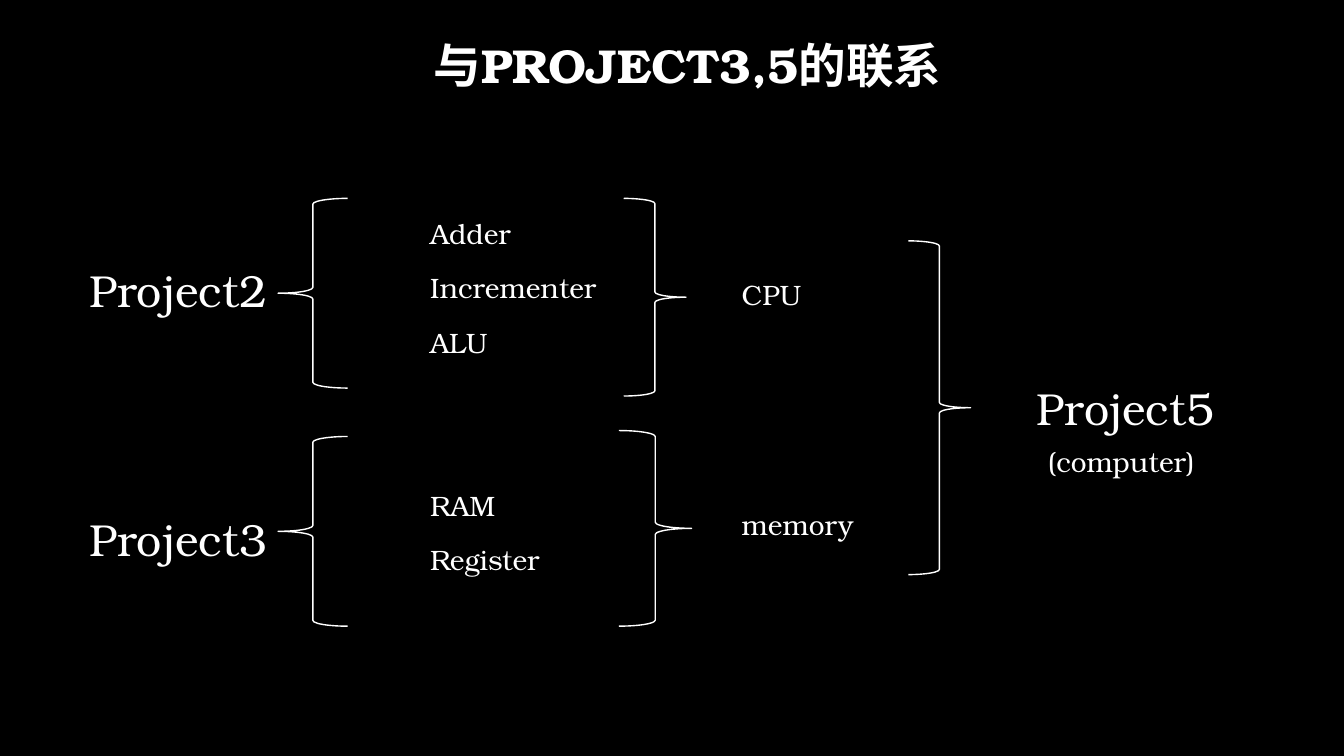
"""Builds the slide that links Project2 and Project3 to Project5."""
from pptx import Presentation
from pptx.dml.color import RGBColor
from pptx.enum.shapes import MSO_SHAPE as SHAPE
from pptx.enum.text import MSO_ANCHOR as ANCHOR, PP_ALIGN as ALIGN
from pptx.util import Cm, Pt

FONT, WHITE, BLACK = "TeX Gyre Bonum", "FFFFFF", "000000"
BIG, SMALL = 32, 20
TEXT_WIDTH = 5

TITLE = "与PROJECT3,5的联系"
TITLE_BOX = (2.95, 0.69, 28.75, 3.68)
LABELS = [
    (["Project2"], BIG, 2.01, 6.22, 2.36),
    (["Project3"], BIG, 2.01, 12.5, 2.36),
    (["Adder", "Incrementer", "ALU"], SMALL, 10.59, 5.16, 4.47),
    (["RAM", "Register"], SMALL, 10.59, 12.01, 4.47),
    (["CPU"], SMALL, 18.44, 6.71, 1.98),
    (["memory"], SMALL, 18.44, 12.5, 1.98),
    (["Project5"], BIG, 25.88, 9.19, 2.36),
    (["(computer)"], SMALL, 26.16, 10.9, 1.98),
]
BRACES = [
    (SHAPE.LEFT_BRACE, 7.01, 5, 1.75, 4.78),
    (SHAPE.LEFT_BRACE, 7.01, 11, 1.75, 4.78),
    (SHAPE.RIGHT_BRACE, 15.72, 5, 1.57, 4.98),
    (SHAPE.RIGHT_BRACE, 15.6, 10.85, 1.83, 4.93),
    (SHAPE.RIGHT_BRACE, 22.89, 6.07, 1.57, 8.41),
]


def rgb(value):
    return RGBColor.from_string(value)


def set_all(target, values):
    for name, value in values.items():
        setattr(target, name, value)


def write(p, text, size, bold=False, **paragraph_format):
    set_all(p, paragraph_format)
    r = p.add_run()
    r.text = text
    set_all(r.font, {"name": FONT, "size": Pt(size), "bold": bold})
    r.font.color.rgb = rgb(WHITE)


def add_title(s):
    title = s.shapes.title
    set_all(title, dict(zip(("left", "top", "width", "height"), map(Cm, TITLE_BOX))))
    tf = title.text_frame
    set_all(tf, {"word_wrap": True, "vertical_anchor": ANCHOR.TOP, "margin_top": Cm(0.39)})
    write(tf.paragraphs[0], TITLE, 34, True, alignment=ALIGN.CENTER, line_spacing=0.9)


def add_label(s, lines, size, left, top, height):
    tf = s.shapes.add_textbox(Cm(left), Cm(top), Cm(TEXT_WIDTH), Cm(height)).text_frame
    tf.word_wrap = True
    for i, line in enumerate(lines):
        p = tf.add_paragraph() if i else tf.paragraphs[0]
        write(p, line, size, line_spacing=1.2, space_before=Pt(10 if i else 0))


def add_brace(s, kind, *box):
    sp = s.shapes.add_shape(kind, *map(Cm, box))
    sp.shadow.inherit = False
    sp.fill.background()
    sp.line.color.rgb = rgb(WHITE)
    sp.line.width = Pt(1)


def main():
    prs = Presentation()
    set_all(prs, {"slide_width": Cm(33.87), "slide_height": Cm(19.05)})
    s = prs.slides.add_slide(prs.slide_layouts[5])
    s.background.fill.solid()
    s.background.fill.fore_color.rgb = rgb(BLACK)
    add_title(s)
    for label in LABELS:
        add_label(s, *label)
    for brace in BRACES:
        add_brace(s, *brace)
    prs.save("out.pptx")


if __name__ == "__main__":
    main()
